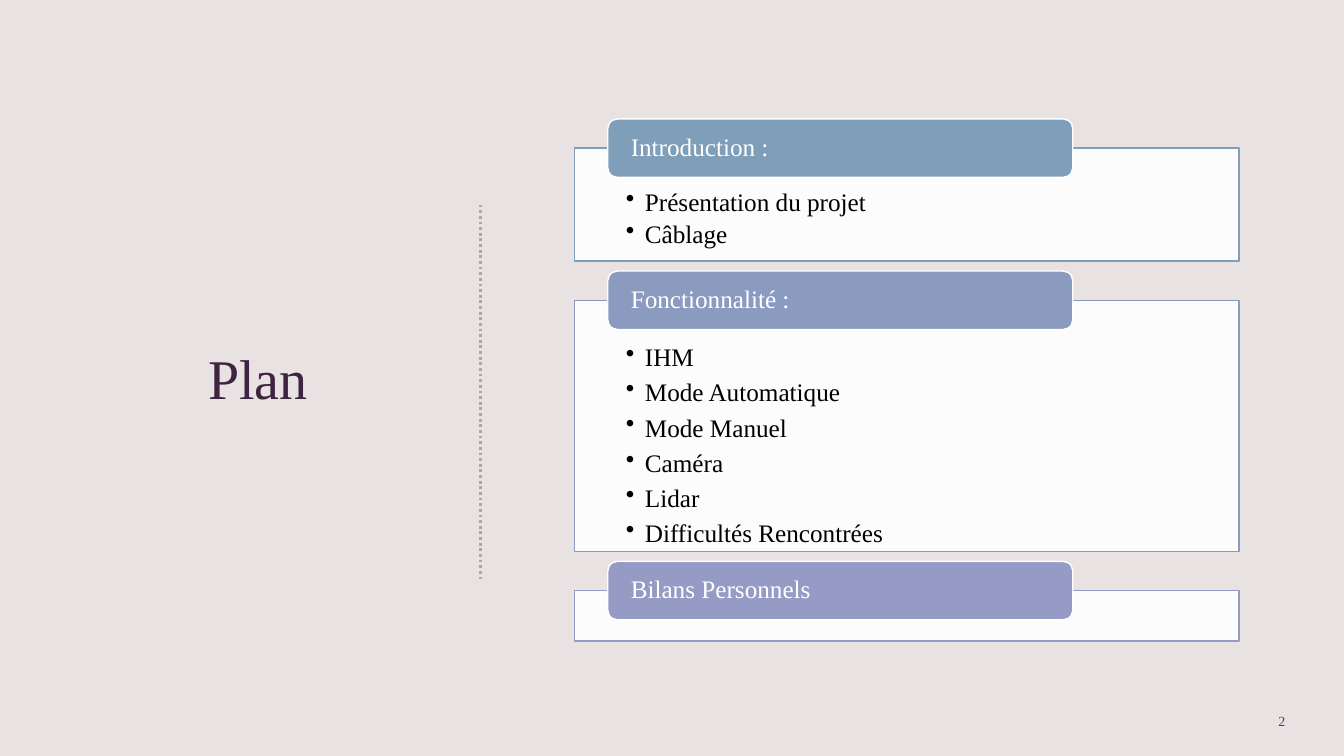
import pptx
import pptx.util
import pptx.dml.color
import pptx.enum.dml
import pptx.enum.shapes
import pptx.enum.text
import pptx.oxml
import pptx.oxml.ns
import lxml.etree

WIDTH = pptx.util.Inches(13.33)
HEIGHT = pptx.util.Inches(7.5)
FONT = "Times New Roman"
ALIGN = pptx.enum.text.PP_ALIGN
ANCHOR = pptx.enum.text.MSO_ANCHOR
SHAPES = pptx.enum.shapes.MSO_SHAPE

HEADER_HEIGHT = 7.73
SECTION_GAP = 1.33
SECTIONS = [
    ("Introduction :", "7F9EBA", 14.93, 0.9, ["Présentation du projet", "Câblage"]),
    ("Fonctionnalité :", "8B9BC0", 33.2, 1.0,
     ["IHM", "Mode Automatique", "Mode Manuel", "Caméra", "Lidar", "Difficultés Rencontrées"]),
    ("Bilans Personnels", "969BC6", 6.67, 1.0, []),
]


def across(percent):
    """Turn a percentage of the slide width into a length."""
    return round(WIDTH * percent / 100)


def down(percent):
    """Turn a percentage of the slide height into a length."""
    return round(HEIGHT * percent / 100)


def place(box):
    """Turn a box in slide percentages into left, top, width and height."""
    left, top, width, height = box
    return across(left), down(top), across(width), down(height)


def color(hex_code):
    """Turn a hex string into a colour."""
    return pptx.dml.color.RGBColor.from_string(hex_code)


def add_child(parent, tag, **attributes):
    """Append a drawing element to a parent element."""
    child = lxml.etree.SubElement(parent, pptx.oxml.ns.qn(tag))
    for name, value in attributes.items():
        child.set(name, value)
    return child


def write(paragraph, text, size, hex_code, align=ALIGN.LEFT):
    """Add one styled run to a paragraph."""
    paragraph.alignment = align
    run = paragraph.add_run()
    run.text = text
    run.font.name = FONT
    run.font.size = pptx.util.Pt(size)
    run.font.color.rgb = color(hex_code)


def add_label(slide, box, text, size, hex_code, align):
    """Add a vertically centred line of text in a box."""
    frame = slide.shapes.add_textbox(*place(box)).text_frame
    frame.word_wrap = True
    frame.vertical_anchor = ANCHOR.MIDDLE
    write(frame.paragraphs[0], text, size, hex_code, align)


def add_block(slide, kind, box, fill, line):
    """Add a filled and outlined shape without shadow."""
    shape = slide.shapes.add_shape(kind, *place(box))
    shape.shadow.inherit = False
    shape.fill.solid()
    shape.fill.fore_color.rgb = color(fill)
    shape.line.color.rgb = color(line)
    shape.line.width = pptx.util.Pt(1)
    shape.text_frame.word_wrap = True
    return shape


def add_panel(slide, box, line, line_spacing, items):
    """Add a translucent panel with its bulleted items."""
    panel = add_block(slide, SHAPES.RECTANGLE, box, "FFFFFF", line)
    fill_color = panel._element.spPr.find(".//" + pptx.oxml.ns.qn("a:srgbClr"))
    add_child(fill_color, "a:alpha", val="90000")
    frame = panel.text_frame
    frame.vertical_anchor = ANCHOR.TOP
    frame.margin_left = frame.margin_right = across(3.83)
    frame.margin_top, frame.margin_bottom = down(5.47), down(1.87)
    for index, item in enumerate(items):
        paragraph = frame.add_paragraph() if index else frame.paragraphs[0]
        paragraph.line_spacing = line_spacing
        paragraph.space_after = pptx.util.Pt(3.5)
        write(paragraph, item, 18, "000000")
        properties = paragraph._p.get_or_add_pPr()
        indent = across(1.41)
        properties.set("marL", str(indent))
        properties.set("indent", str(-indent))
        add_child(properties, "a:buChar", char="•")


def add_header(slide, box, text, fill):
    """Add the rounded heading of a section."""
    header = add_block(slide, SHAPES.ROUNDED_RECTANGLE, box, fill, "FFFFFF")
    frame = header.text_frame
    frame.vertical_anchor = ANCHOR.MIDDLE
    frame.margin_left = frame.margin_right = across(1.5)
    frame.margin_top = frame.margin_bottom = 0
    frame.paragraphs[0].line_spacing = 0.9
    write(frame.paragraphs[0], text, 18, "FFFFFF")


def add_sections(slide, left, top, width):
    """Stack the sections, each heading straddling its panel's top edge."""
    for title, accent, panel_height, line_spacing, items in SECTIONS:
        panel_top = top + HEADER_HEIGHT / 2
        add_panel(slide, (left, panel_top, width, panel_height), accent, line_spacing, items)
        header_box = (left + width * 0.05, top, width * 0.7, HEADER_HEIGHT)
        add_header(slide, header_box, title, accent)
        top = panel_top + panel_height + SECTION_GAP


def add_divider(slide, left, top, bottom):
    """Add the dotted vertical divider."""
    divider = slide.shapes.add_connector(
        pptx.enum.shapes.MSO_CONNECTOR.STRAIGHT,
        across(left), down(top), across(left), down(bottom))
    divider.line.color.rgb = color("B5A2A2")
    divider.line.width = pptx.util.Pt(2)
    divider.line.dash_style = pptx.enum.dml.MSO_LINE.ROUND_DOT
    add_child(divider._element.spPr, "a:effectLst")


def main():
    """Build the plan slide and save it."""
    presentation = pptx.Presentation()
    presentation.slide_width, presentation.slide_height = WIDTH, HEIGHT
    slide = presentation.slides.add_slide(presentation.slide_layouts[6])
    slide.background.fill.solid()
    slide.background.fill.fore_color.rgb = color("E8E2E2")
    add_label(slide, (7.8, 23.07, 22.8, 53.73), "Plan", 40, "3F2441", ALIGN.CENTER)
    add_divider(slide, 35.78, 27.07, 76.53)
    add_sections(slide, 42.75, 15.73, 49.43)
    add_label(slide, (92.18, 92.67, 4.2, 5.33), "2", 10, "584059", ALIGN.RIGHT)
    presentation.save("out.pptx")


if __name__ == "__main__":
    main()
